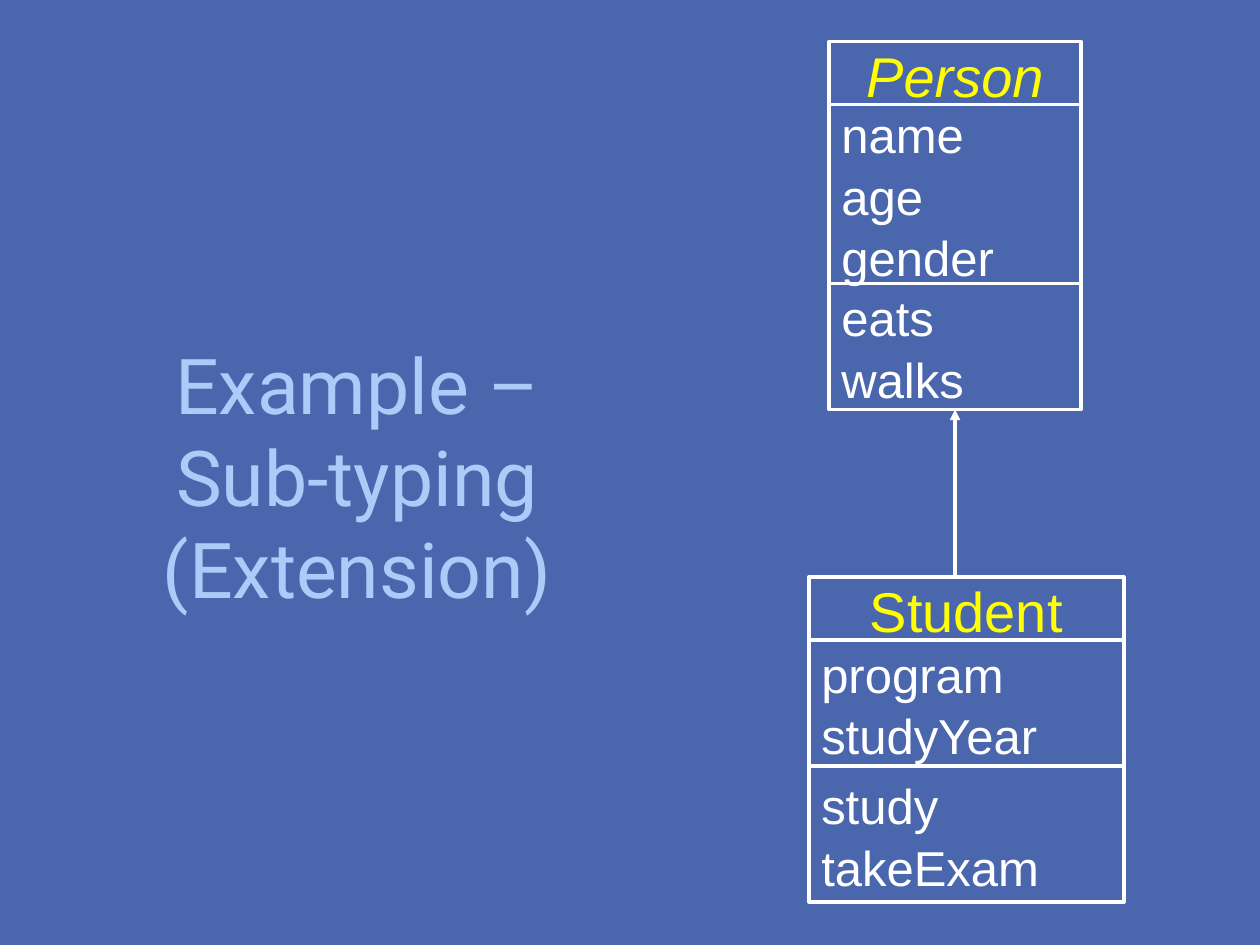
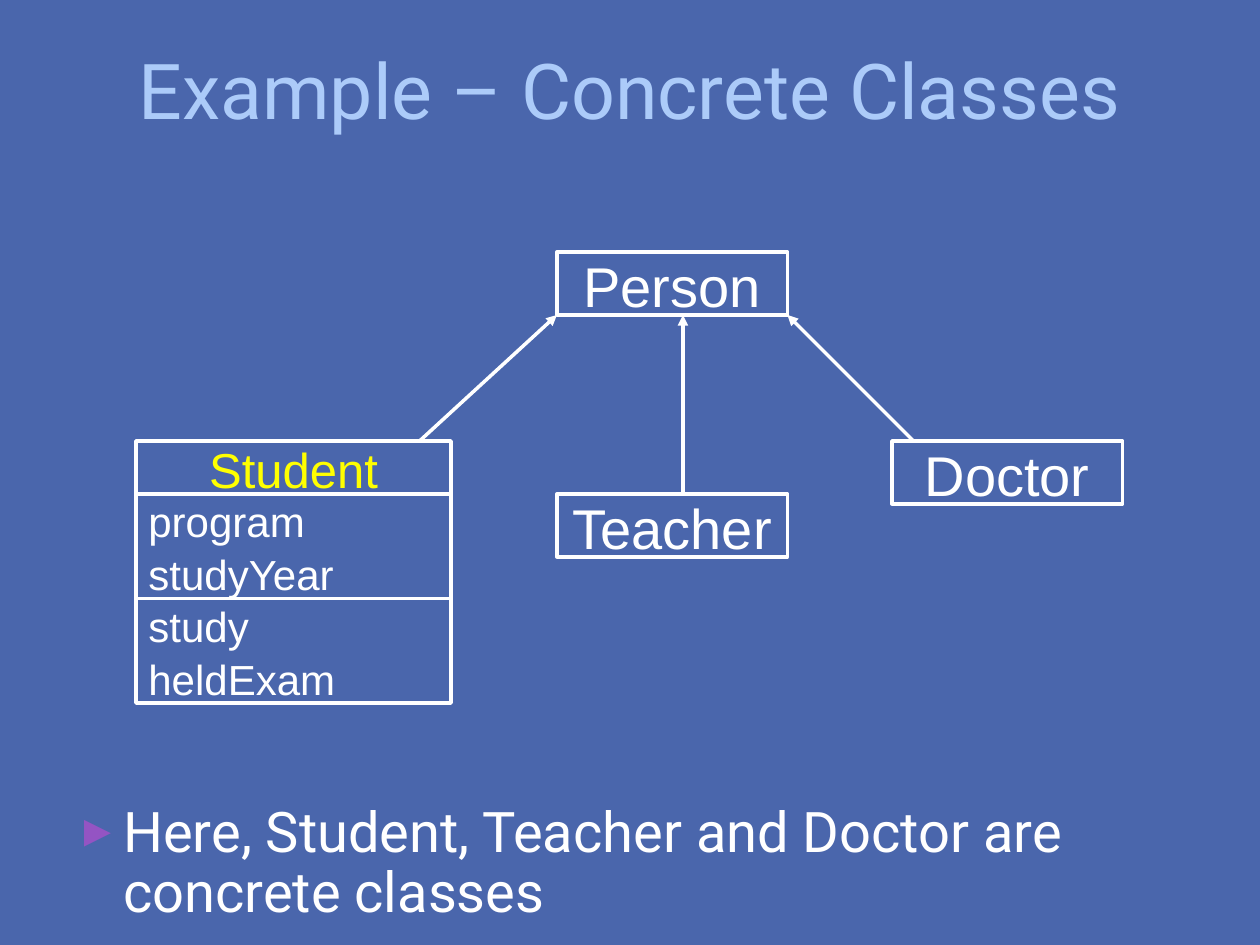
"""Build two slides on sub-typing with class diagrams."""
import pptx
import pptx.util
import pptx.dml.color
import pptx.enum.shapes
import pptx.enum.text
import pptx.oxml.ns
import lxml.etree

Inches, Pt = pptx.util.Inches, pptx.util.Pt
RGB = pptx.dml.color.RGBColor.from_string
Align, Anchor = pptx.enum.text.PP_ALIGN, pptx.enum.text.MSO_ANCHOR
qn = pptx.oxml.ns.qn
HUES = {"back": "4A66AC", "title": "ACCBF9", "white": "FFFFFF",
        "name": "FFFF00", "bullet": "9454C3"}


def add_class(slide, left, top, width, rows, size=32, hue="white", italic=False):
    """Stack (height, text) rows: a centred name, then smaller members."""
    for i, (height, text) in enumerate(rows):
        box = slide.shapes.add_shape(pptx.enum.shapes.MSO_SHAPE.RECTANGLE, Inches(left),
                                     Inches(top), Inches(width), Inches(height))
        box.shadow.inherit = False
        box.fill.background()
        box.line.color.rgb = RGB(HUES["white"])
        box.line.width = Pt(2)
        frame = box.text_frame
        frame.text = text
        frame.word_wrap = False
        frame.vertical_anchor = Anchor.MIDDLE
        for para in frame.paragraphs:
            para.alignment = Align.LEFT if i else Align.CENTER
            para.line_spacing = 1.05
            font = para.runs[0].font
            font.name = "Arial"
            font.size = Pt(size - 4 if i else size)
            font.color.rgb = RGB(HUES["white" if i else hue])
            font.italic = italic and i == 0
        top += height
    return box


def add_arrow(slide, x1, y1, x2, y2):
    """Draw a white line with a triangle at its end."""
    line = slide.shapes.add_connector(pptx.enum.shapes.MSO_CONNECTOR.STRAIGHT,
                                      Inches(x1), Inches(y1), Inches(x2), Inches(y2))
    line.line.color.rgb = RGB(HUES["white"])
    line.line.width = Pt(2)
    lxml.etree.SubElement(line.line._get_or_add_ln(), qn("a:tailEnd"), type="triangle")
    lxml.etree.SubElement(line._element.spPr, qn("a:effectLst"))
    return line


deck = pptx.Presentation()
deck.slide_width, deck.slide_height = Inches(10), Inches(7.5)
fill = deck.slide_master.background.fill
fill.solid()
fill.fore_color.rgb = RGB(HUES["back"])

titles = [("Example –\vSub-typing (Extension)", (0.5, 0.3, 4.67, 6.95)),
          ("Example – Concrete Classes", (0.5, 0.08, 9, 1.25))]
for text, place in titles:
    slide = deck.slides.add_slide(deck.slide_layouts[5])
    title = slide.shapes.title
    title.left, title.top, title.width, title.height = map(Inches, place)
    frame = title.text_frame
    frame.text = text
    frame.auto_size = pptx.enum.text.MSO_AUTO_SIZE.NONE
    frame.vertical_anchor = Anchor.MIDDLE
    frame.paragraphs[0].alignment = Align.CENTER
    for run in frame.paragraphs[0].runs:
        run.font.name = "Roboto"
        run.font.size = Pt(44)
        run.font.color.rgb = RGB(HUES["title"])

first, second = deck.slides

person = add_class(first, 6.58, 0.33, 2,
                   [(0.5, "Person"), (1.42, "name\nage\ngender"), (1, "eats\nwalks")],
                   hue="name", italic=True)
add_class(first, 6.42, 4.58, 2.5,
          [(0.5, "Student"), (1, "program\nstudyYear"), (1.08, "study\ntakeExam")],
          hue="name")
add_arrow(first, 7.58, 4.58, 7.58, 3.25).end_connect(person, 2)

for name, left, top in [("Person", 4.42, 2), ("Teacher", 4.42, 3.92), ("Doctor", 7.08, 3.5)]:
    add_class(second, left, top, 1.83, [(0.5, name)])
add_class(second, 1.08, 3.5, 2.5,
          [(0.42, "Student"), (0.83, "program\nstudyYear"), (0.83, "study\nheldExam")],
          size=28, hue="name")
for x1, y1, x2 in [(3.33, 3.5, 4.42), (5.42, 3.92, 5.42), (7.25, 3.5, 6.25)]:
    add_arrow(second, x1, y1, x2, 2.5)

note = second.shapes.add_textbox(Inches(0.5), Inches(6.33), Inches(9), Inches(1.08))
note.text_frame.word_wrap = True
note.text_frame.text = "Here, Student, Teacher and Doctor are concrete classes"
para = note.text_frame.paragraphs[0]
para.line_spacing = 0.9
para.space_before = Pt(6.4)
font = para.runs[0].font
font.name = "Roboto"
font.size = Pt(32)
font.color.rgb = RGB(HUES["white"])
props = para._p.get_or_add_pPr()
props.set("marL", str(Inches(0.38)))
props.set("indent", str(-Inches(0.38)))
tint = lxml.etree.SubElement(props, qn("a:buClr"))
lxml.etree.SubElement(tint, qn("a:srgbClr"), val=HUES["bullet"])
lxml.etree.SubElement(props, qn("a:buSzPct"), val="80000")
lxml.etree.SubElement(props, qn("a:buFont"), typeface="Arial")
lxml.etree.SubElement(props, qn("a:buChar"), char="►")

deck.save("out.pptx")
